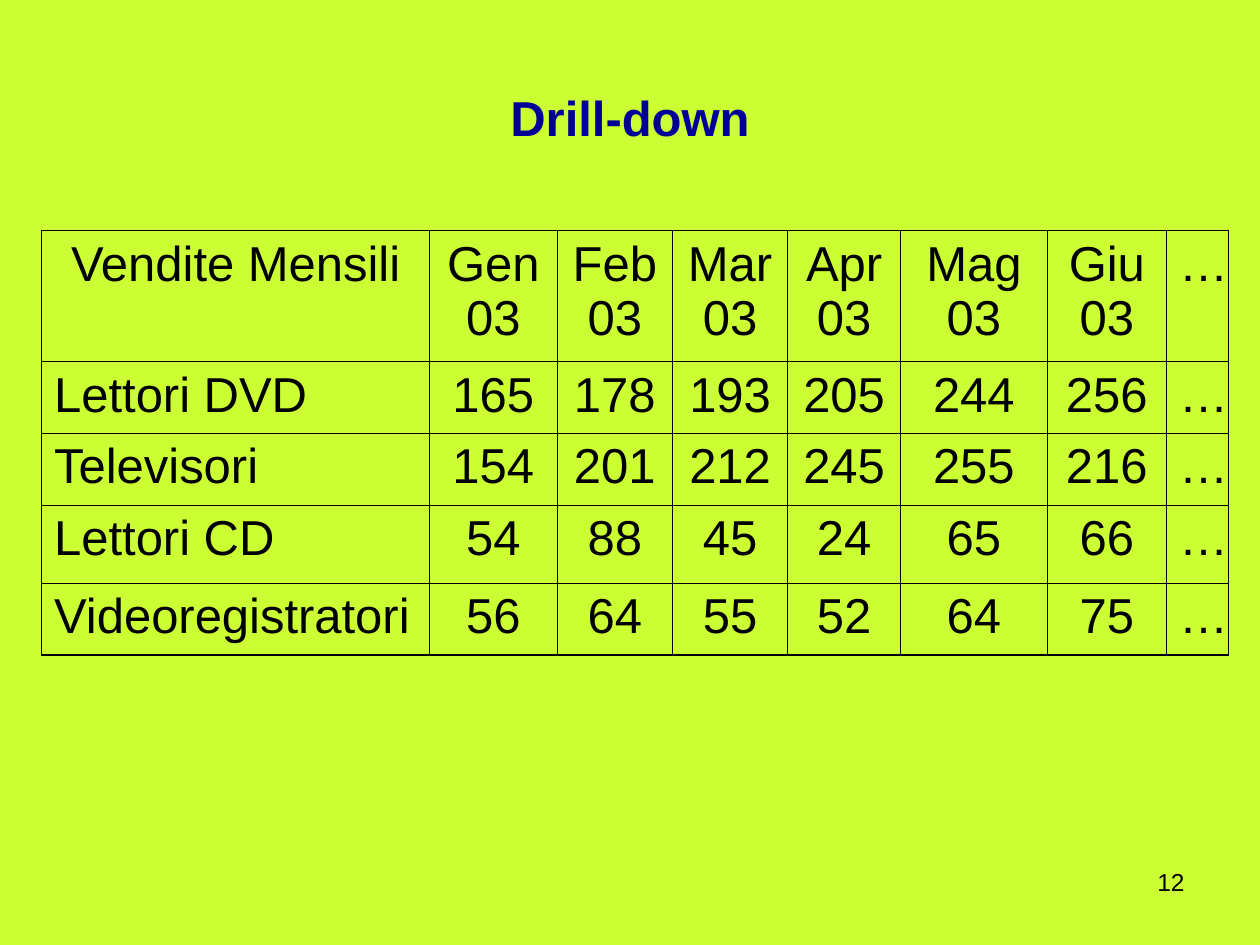
from dataclasses import dataclass

from lxml import etree
from pptx import Presentation
from pptx.dml.color import RGBColor
from pptx.enum.text import MSO_ANCHOR, PP_ALIGN
from pptx.oxml.ns import qn
from pptx.table import _Cell
from pptx.text.text import TextFrame
from pptx.util import Inches, Pt

LEFT, CENTER, RIGHT = PP_ALIGN.LEFT, PP_ALIGN.CENTER, PP_ALIGN.RIGHT
MIDDLE, TOP = MSO_ANCHOR.MIDDLE, MSO_ANCHOR.TOP
COLORS = {"background": "CCFF33", "title": "000099", "text": "000000", "border": "000000"}
FONT = "Arial"
TITLE_ONLY = 5
INNER_BORDER, OUTER_BORDER = 0.45, 1.08
COLUMN_WIDTHS = [3.08, 1.01, 0.92, 0.91, 0.9, 1.16, 0.95, 0.49]
ROW_HEIGHTS = [1.04, 0.57, 0.57, 0.62, 0.57]
MONTHS = ["Gen", "Feb", "Mar", "Apr", "Mag", "Giu"]


@dataclass
class ProductSales:
    product: str
    monthly: list[int]


SALES = [
    ProductSales("Lettori DVD", [165, 178, 193, 205, 244, 256]),
    ProductSales("Televisori", [154, 201, 212, 245, 255, 216]),
    ProductSales("Lettori CD", [54, 88, 45, 24, 65, 66]),
    ProductSales("Videoregistratori", [56, 64, 55, 52, 64, 75]),
]


def write_text(frame: TextFrame, text: str, *, size: float = 28, color: str = "text",
               bold: bool = False, align: PP_ALIGN = LEFT, anchor: MSO_ANCHOR = TOP) -> None:
    frame.word_wrap = True
    frame.vertical_anchor = anchor
    paragraph = frame.paragraphs[0]
    paragraph.alignment = align
    run = paragraph.add_run()
    run.text = text
    run.font.name = FONT
    run.font.size = Pt(size)
    run.font.bold = bold
    run.font.color.rgb = RGBColor.from_string(COLORS[color])


def set_borders(cell: _Cell, outer_sides: dict[str, bool]) -> None:
    """Draw four borders, heavier on the sides flagged as the table's edge."""
    properties = cell._tc.get_or_add_tcPr()
    for position, (side, is_outer) in enumerate(outer_sides.items()):
        width = Pt(OUTER_BORDER if is_outer else INNER_BORDER)
        line = etree.Element(qn(f"a:ln{side}"), w=str(int(width)))
        fill = etree.SubElement(line, qn("a:solidFill"))
        etree.SubElement(fill, qn("a:srgbClr"), val=COLORS["border"])
        properties.insert(position, line)


def add_sales_table(slide) -> None:
    header = ["Vendite Mensili", *(f"{month} 03" for month in MONTHS), "…"]
    rows = [header] + [[sales.product, *map(str, sales.monthly), "…"] for sales in SALES]
    last_row, last_column = len(rows) - 1, len(header) - 1
    table = slide.shapes.add_table(
        len(rows), len(header), Inches(0.33), Inches(1.83),
        Inches(sum(COLUMN_WIDTHS)), Inches(sum(ROW_HEIGHTS))).table
    table.first_row = table.horz_banding = False
    for column, width in zip(table.columns, COLUMN_WIDTHS):
        column.width = Inches(width)
    for row, height in zip(table.rows, ROW_HEIGHTS):
        row.height = Inches(height)

    for row_index, texts in enumerate(rows):
        for column_index, text in enumerate(texts):
            cell = table.cell(row_index, column_index)
            cell.fill.background()
            is_centered = row_index == 0 or 0 < column_index < last_column
            write_text(cell.text_frame, text, align=CENTER if is_centered else LEFT)
            set_borders(cell, {"L": column_index == 0, "R": column_index == last_column,
                               "T": row_index == 0, "B": row_index == last_row})


def main() -> None:
    presentation = Presentation()
    presentation.slide_width, presentation.slide_height = Inches(10), Inches(7.5)
    slide = presentation.slides.add_slide(presentation.slide_layouts[TITLE_ONLY])
    background = slide.background.fill
    background.solid()
    background.fore_color.rgb = RGBColor.from_string(COLORS["background"])

    title = slide.shapes.title
    title.left, title.top = Inches(0.5), Inches(0.3)
    title.width, title.height = Inches(9), Inches(1.25)
    write_text(title.text_frame, "Drill-down", color="title", bold=True,
               align=CENTER, anchor=MIDDLE)

    add_sales_table(slide)

    page_number = slide.shapes.add_textbox(
        Inches(7.17), Inches(6.83), Inches(2.33), Inches(0.52))
    write_text(page_number.text_frame, "12", size=14, align=RIGHT)

    presentation.save("out.pptx")


if __name__ == "__main__":
    main()
